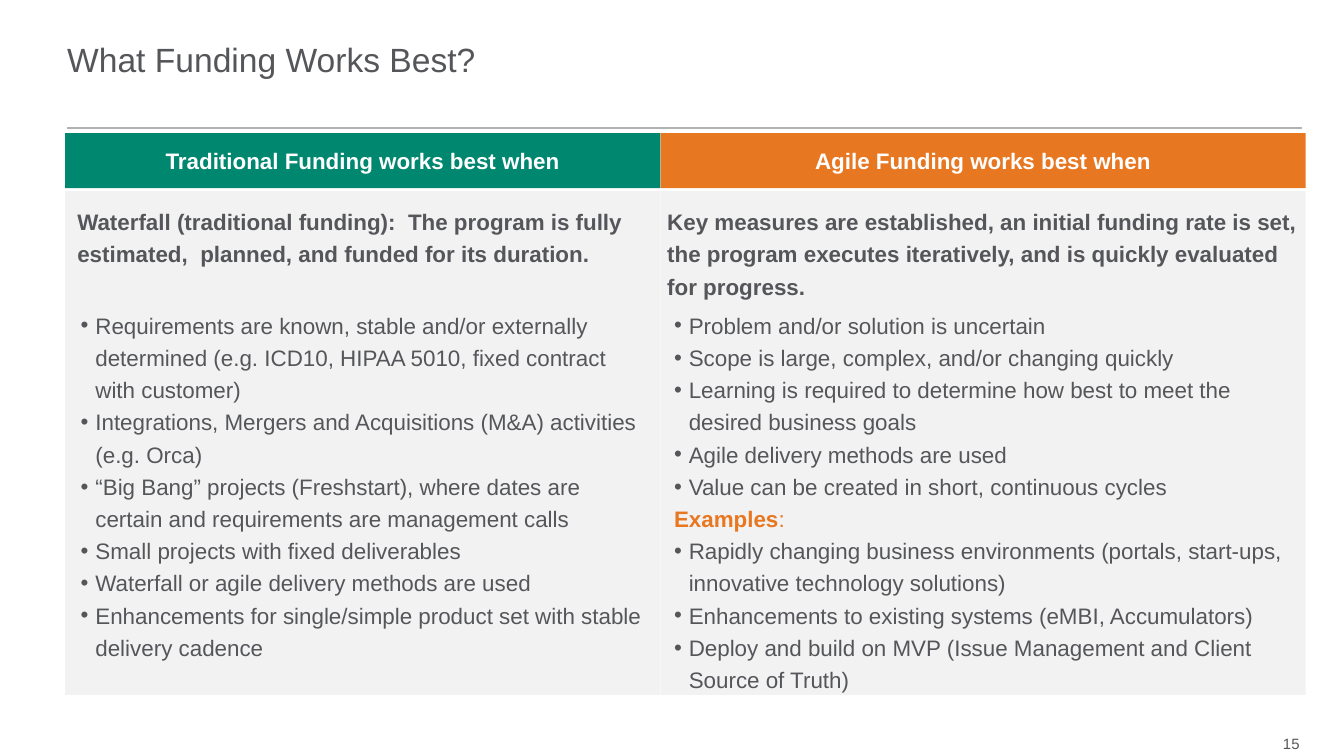
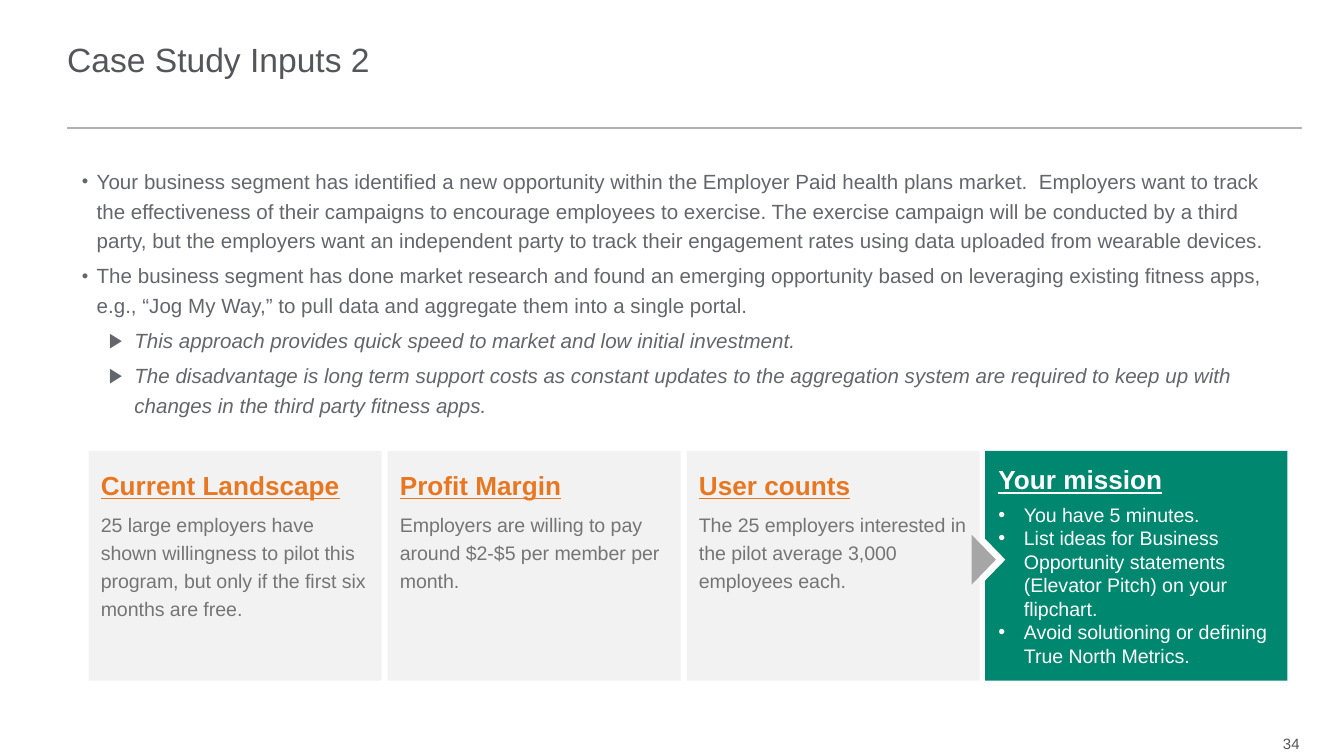
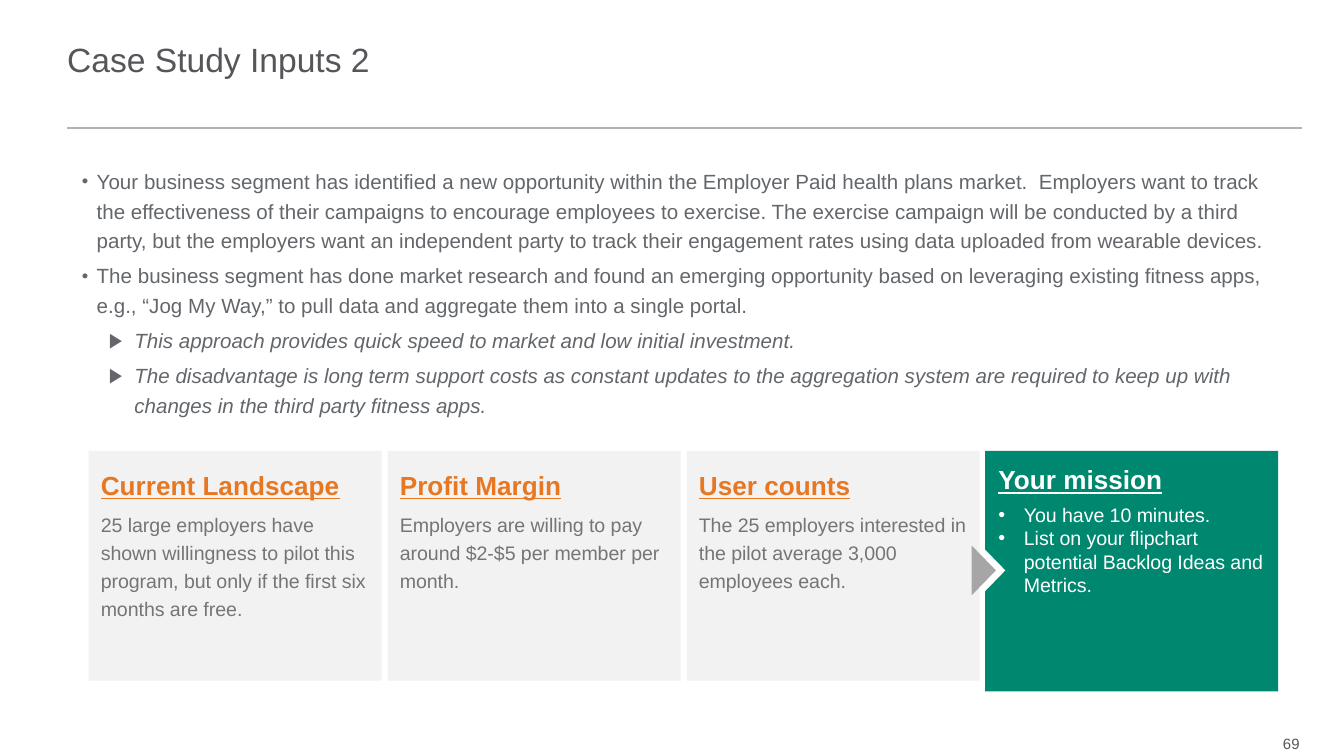
from dataclasses import dataclass, replace

from lxml import etree
from pptx import Presentation
from pptx.dml.color import RGBColor
from pptx.enum.shapes import MSO_CONNECTOR, MSO_SHAPE
from pptx.enum.text import MSO_ANCHOR, MSO_AUTO_SIZE, PP_ALIGN
from pptx.oxml.ns import qn
from pptx.util import Inches, Pt

LEFT, CENTER, RIGHT = PP_ALIGN.LEFT, PP_ALIGN.CENTER, PP_ALIGN.RIGHT
TOP, MIDDLE = MSO_ANCHOR.TOP, MSO_ANCHOR.MIDDLE
GROW, FIXED = MSO_AUTO_SIZE.SHAPE_TO_FIT_TEXT, MSO_AUTO_SIZE.NONE
RECTANGLE, STRAIGHT = MSO_SHAPE.RECTANGLE, MSO_CONNECTOR.STRAIGHT

WIDTH = 10
HEIGHT = WIDTH * 9 / 16
CELL = WIDTH / 100
FONT = "Arial"
INK, BODY_INK, CARD_INK = "55565A", "63666A", "757575"
GREEN, ORANGE, WHITE = "008770", "E87722", "FFFFFF"
PANEL, RULE, ARROW = "F2F2F2", "B1B3B3", "A6A6A6"
TWO_LISTS, ONE_LIST = 3, 1
DEFAULT_INSETS, CARD_INSETS = (0.1, 0.05), (0.09, 0.09)


@dataclass
class Style:
    size: float
    color: str
    bold: bool = False
    italic: bool = False
    underline: bool = False
    spacing: float = 1.0
    after: float = 0
    align: int = LEFT
    bullet: str = ""
    bullet_size: int = 100
    left: float = 0
    hang: float = 0


TITLE = Style(18, INK)
NUMBER = Style(8, INK, align=RIGHT)
HEADER = Style(12, WHITE, bold=True, align=CENTER)
LEAD = Style(12, INK, bold=True, spacing=1.2)
POINT = Style(12, INK, spacing=1.2, bullet="•", left=0.11, hang=0.11)
EXAMPLES = Style(12, ORANGE, bold=True, spacing=1.2)
STORY = Style(11, BODY_INK, spacing=1.2, after=3, bullet="•", bullet_size=90, left=0.11, hang=0.11)
ASIDE = replace(STORY, italic=True, bullet="▶", bullet_size=100, left=0.39, hang=0.19)
CARD_HEAD = Style(14, ORANGE, bold=True, underline=True, spacing=1.2, after=4)
CARD_TEXT = Style(10.5, CARD_INK, spacing=1.2, after=4)
MISSION_HEAD = replace(CARD_HEAD, color=WHITE)
MISSION_POINT = Style(10.5, WHITE, bullet="•", left=0.19, hang=0.19)

TRADITIONAL = [
    "Requirements are known, stable and/or externally determined (e.g. ICD10, HIPAA 5010, fixed contract with customer)",
    "Integrations, Mergers and Acquisitions (M&A) activities (e.g. Orca)",
    "“Big Bang” projects (Freshstart), where dates are certain and requirements are management calls",
    "Small projects with fixed deliverables",
    "Waterfall or agile delivery methods are used",
    "Enhancements for single/simple product set with stable delivery cadence",
]
AGILE = [
    "Problem and/or solution is uncertain",
    "Scope is large, complex, and/or changing quickly",
    "Learning is required to determine how best to meet the desired business goals",
    "Agile delivery methods are used",
    "Value can be created in short, continuous cycles",
]
AGILE_EXAMPLES = [
    "Rapidly changing business environments (portals, start-ups, innovative technology solutions)",
    "Enhancements to existing systems (eMBI, Accumulators)",
    "Deploy and build on MVP (Issue Management and Client Source of Truth)",
]
CASE = [
    ("Your business segment has identified a new opportunity within the Employer Paid health plans market.  "
     "Employers want to track the effectiveness of their campaigns to encourage employees to exercise. "
     "The exercise campaign will be conducted by a third party, but the employers want an independent party "
     "to track their engagement rates using data uploaded from wearable devices.", STORY),
    ("The business segment has done market research and found an emerging opportunity based on leveraging "
     "existing fitness apps, e.g., “Jog My Way,” to pull data and aggregate them into a single portal.", STORY),
    ("This approach provides quick speed to market and low initial investment.", ASIDE),
    ("The disadvantage is long term support costs as constant updates to the aggregation system are required "
     "to keep up with changes in the third party fitness apps.", ASIDE),
]
CARDS = [
    ("Current Landscape",
     "25 large employers have shown willingness to pilot this program, but only if the first six months are free."),
    ("Profit Margin", "Employers are willing to pay around $2-$5 per member per month."),
    ("User counts", "The 25 employers interested in the pilot average 3,000 employees each."),
]


def rgb(code):
    return RGBColor.from_string(code)


def grid(*cells):
    return [Inches(cell * CELL) for cell in cells]


def styled(texts, style):
    return [(text, style) for text in texts]


def format_span(span, style):
    font = span.font
    font.name, font.size, font.color.rgb = FONT, Pt(style.size), rgb(style.color)
    font.bold, font.italic, font.underline = style.bold, style.italic, style.underline


def set_bullet(para, style):
    props = para._p.get_or_add_pPr()
    props.set("marL", str(Inches(style.left)))
    props.set("indent", str(-Inches(style.hang)))
    if style.bullet:
        etree.SubElement(props, qn("a:buSzPct")).set("val", str(style.bullet_size * 1000))
        etree.SubElement(props, qn("a:buFont")).set("typeface", FONT)
        etree.SubElement(props, qn("a:buChar")).set("char", style.bullet)
    else:
        etree.SubElement(props, qn("a:buNone"))


def write(box, paragraphs, insets=DEFAULT_INSETS, anchor=TOP, fit=FIXED, wrap=True):
    frame = box.text_frame
    frame.word_wrap, frame.auto_size, frame.vertical_anchor = wrap, fit, anchor
    frame.margin_left = frame.margin_right = Inches(insets[0])
    frame.margin_top = frame.margin_bottom = Inches(insets[1])
    for index, (text, style) in enumerate(paragraphs):
        para = frame.add_paragraph() if index else frame.paragraphs[0]
        para.text = text
        set_bullet(para, style)
        para.alignment, para.line_spacing = style.align, style.spacing
        para.space_before, para.space_after = Pt(0), Pt(style.after)
        for span in para.runs:
            format_span(span, style)


def place(box, *cells):
    box.left, box.top, box.width, box.height = grid(*cells)


def paint(shape, color):
    shape.shadow.inherit = False
    shape.fill.solid()
    shape.fill.fore_color.rgb = rgb(color)
    shape.line.fill.background()


def add_panel(page, cells, color, paragraphs, **layout):
    panel = page.shapes.add_shape(RECTANGLE, *grid(*cells))
    paint(panel, color)
    write(panel, paragraphs, **layout)


def add_list(page, holder, cells, paragraphs, **layout):
    box = page.placeholders[holder]
    place(box, *cells)
    write(box, paragraphs, fit=GROW, **layout)
    page.shapes.element.append(box.element)
    return box


def add_triangle(page, column, row, color):
    left, top, tip, middle, bottom = grid(column, row, column + 1.8, row + 1.85, row + 3.7)
    outline = page.shapes.build_freeform(left, top)
    outline.add_line_segments([(left, bottom), (tip, middle)], close=True)
    paint(outline.convert_to_shape(), color)


def add_page(deck, layout, title, number):
    page = deck.slides.add_slide(deck.slide_layouts[layout])
    place(page.shapes.title, 5, 0.75, 73.3, 7.3)
    write(page.shapes.title, [(title, TITLE)], insets=(0, 0), anchor=MIDDLE)
    rule = page.shapes.add_connector(STRAIGHT, *grid(5, 9.5, 96.9, 9.5))
    rule.line.color.rgb, rule.line.width = rgb(RULE), Pt(1)
    etree.SubElement(rule.element.spPr, qn("a:effectLst"))
    box = page.shapes.add_textbox(*grid(92.5, 54.35, 4.2, 2))
    write(box, [(number, NUMBER)], insets=(0, 0), anchor=MIDDLE, wrap=False)
    return page


def add_funding_column(page, column, columns, color, header, lead, side_inset):
    add_panel(page, (column, 14.2, columns, 37.5), PANEL, [(lead, LEAD)], insets=(side_inset, 0.09))
    add_panel(page, (column, 9.9, columns, 4.1), color, [(header, HEADER)], anchor=MIDDLE)


def add_funding_page(deck):
    page = add_page(deck, TWO_LISTS, "What Funding Works Best?", "15")
    add_funding_column(
        page, 4.85, 44.3, GREEN, "Traditional Funding works best when",
        "Waterfall (traditional funding):  The program is fully estimated,  planned, and funded for its duration.",
        0.09)
    add_funding_column(
        page, 49.15, 48, ORANGE, "Agile Funding works best when",
        "Key measures are established, an initial funding rate is set, the program executes iteratively, "
        "and is quickly evaluated for progress.", 0.05)
    add_list(page, 1, (5, 22.3, 44.1, 27.7), styled(TRADITIONAL, POINT))
    agile = add_list(page, 2, (49.15, 22.3, 48, 30.1),
                     styled(AGILE, POINT) + [("Examples", EXAMPLES)] + styled(AGILE_EXAMPLES, POINT))
    colon = agile.text_frame.paragraphs[len(AGILE)].add_run()
    colon.text = ":"
    format_span(colon, replace(EXAMPLES, bold=False))


def add_case_page(deck, number, mission, columns, rows, arrow_row):
    page = add_page(deck, ONE_LIST, "Case Study Inputs 2", number)
    add_list(page, 1, (5, 11, 91.7, 21.3), CASE, insets=(0.11, 0.11), anchor=MIDDLE)
    for index, (head, text) in enumerate(CARDS):
        add_panel(page, (6.6 + index * 22.25, 33.55, 21.8, 17.1), PANEL,
                  [(head, CARD_HEAD), (text, CARD_TEXT)], insets=CARD_INSETS)
    add_panel(page, (73.3, 33.55, columns, rows), GREEN,
              [("Your mission", MISSION_HEAD)] + styled(mission, MISSION_POINT))
    add_triangle(page, 73, arrow_row, WHITE)
    add_triangle(page, 72.3, arrow_row, ARROW)


def main():
    deck = Presentation()
    deck.slide_width, deck.slide_height = Inches(WIDTH), Inches(HEIGHT)
    add_funding_page(deck)
    add_case_page(deck, "34", [
        "You have 5 minutes.",
        "List ideas for Business Opportunity statements (Elevator Pitch) on your flipchart.",
        "Avoid solutioning or defining True North Metrics.",
    ], 22.5, 17.1, 39.8)
    add_case_page(deck, "69", [
        "You have 10 minutes.",
        "List on your flipchart potential Backlog Ideas and Metrics.",
    ], 21.8, 17.9, 40.6)
    deck.save("out.pptx")


if __name__ == "__main__":
    main()
